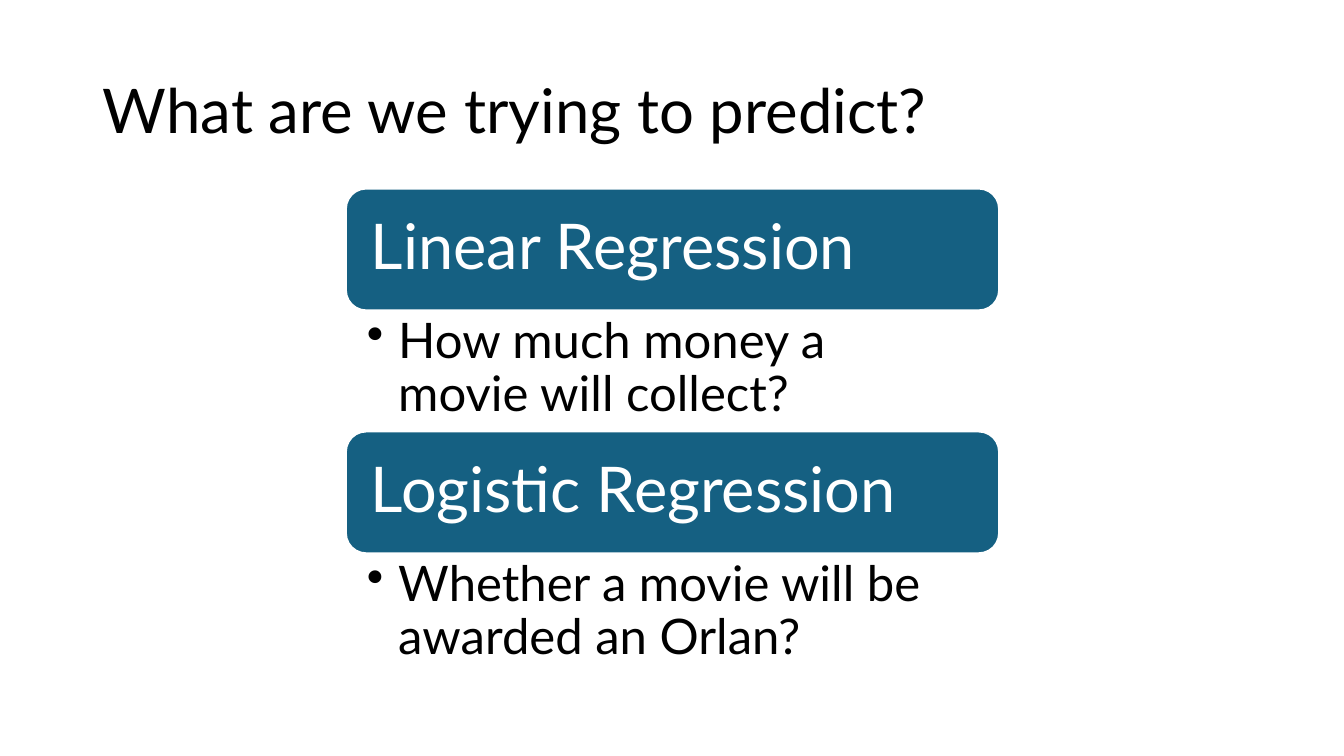
from lxml.etree import SubElement
from pptx import Presentation
from pptx.dml.color import RGBColor as RGB
from pptx.enum.shapes import MSO_SHAPE as SHAPE
from pptx.enum.text import MSO_ANCHOR as ANCHOR, MSO_AUTO_SIZE as FIT, PP_ALIGN as ALIGN
from pptx.oxml.ns import qn
from pptx.util import Pt

PX = 9144
THEME = {
    "font": "Lato", "ink": RGB(0, 0, 0), "paper": RGB(255, 255, 255),
    "band": RGB(0x15, 0x60, 0x82), "title": 44, "heading": 45, "question": 35,
}
LEFT, TOP, WIDTH = 343, 187, 648
BAND_HEIGHT, QUESTION_HEIGHT = 121, 120
MODELS = [
    ("Linear Regression", "How much money a movie will collect?"),
    ("Logistic Regression", "Whether a movie will be awarded an Orlan?"),
]


def place(shape, *box):
    for side, length in zip(("left", "top", "width", "height"), box):
        setattr(shape, side, length * PX)


def write(shape, text, role, color, anchor, insets):
    frame = shape.text_frame
    frame.text = text
    layout = {"word_wrap": True, "auto_size": FIT.NONE, "vertical_anchor": anchor}
    layout.update(zip(("margin_left", "margin_top", "margin_right", "margin_bottom"),
                      (inset * PX for inset in insets)))
    for name, value in layout.items():
        setattr(frame, name, value)
    paragraph = frame.paragraphs[0]
    for name, value in {"alignment": ALIGN.LEFT, "line_spacing": 0.9}.items():
        setattr(paragraph, name, value)
    font = paragraph.runs[0].font
    for name, value in {"name": THEME["font"], "size": Pt(THEME[role])}.items():
        setattr(font, name, value)
    font.color.rgb = THEME[color]
    return paragraph


deck = Presentation()
deck.slide_width, deck.slide_height = 1333 * PX, 750 * PX
slide = deck.slides.add_slide(deck.slide_layouts[5])

title = slide.shapes.title
place(title, 92, 40, 1150, 145)
write(title, "What are we trying to predict?", "title", "ink", ANCHOR.MIDDLE, (10, 5, 10, 5))

for index, (model, target) in enumerate(MODELS):
    top = TOP + index * (BAND_HEIGHT + QUESTION_HEIGHT)
    band = slide.shapes.add_shape(SHAPE.ROUNDED_RECTANGLE, 0, 0, 0, 0)
    place(band, LEFT, top, WIDTH, BAND_HEIGHT)
    band.shadow.inherit = False
    band.fill.solid()
    band.fill.fore_color.rgb = THEME["band"]
    band.line.color.rgb = THEME["paper"]
    band.line.width = Pt(1.5)
    write(band, model, "heading", "paper", ANCHOR.MIDDLE, (19, 19, 19, 19))

    question = slide.shapes.add_textbox(0, 0, 0, 0)
    place(question, LEFT, top + BAND_HEIGHT, WIDTH, QUESTION_HEIGHT)
    paragraph = write(question, target, "question", "ink", ANCHOR.TOP, (21, 6, 35, 6))
    paragraph.level = 1
    bullet = paragraph._p.get_or_add_pPr()
    for name, indent in {"marL": 31, "indent": -31}.items():
        bullet.set(name, str(indent * PX))
    SubElement(bullet, qn("a:buChar"), char="•")

deck.save("out.pptx")
